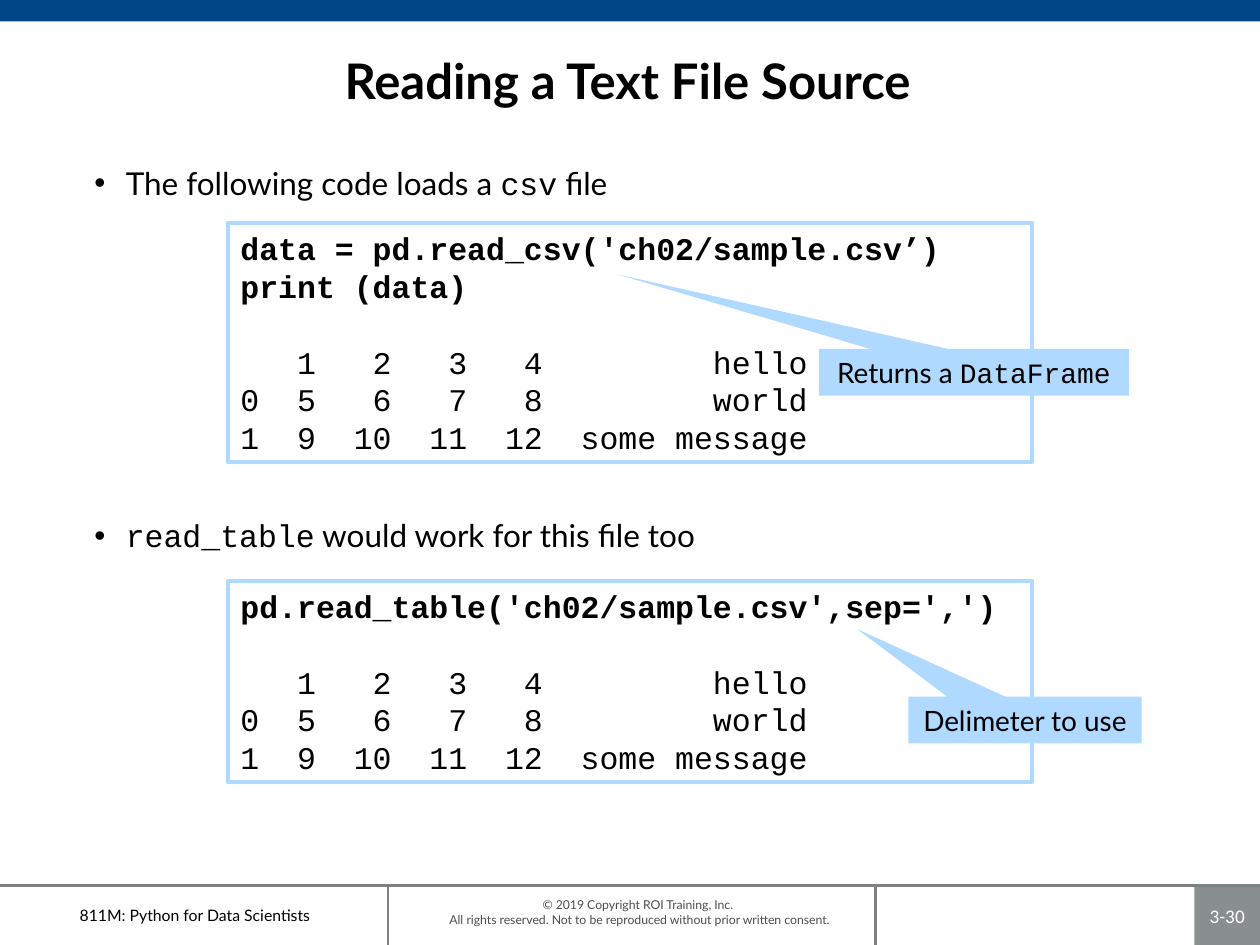
from lxml.etree import SubElement
from pptx import Presentation
from pptx.dml.color import RGBColor
from pptx.enum.shapes import MSO_CONNECTOR as CONN, MSO_SHAPE as SHAPE
from pptx.enum.text import MSO_ANCHOR as ANCHOR, MSO_AUTO_SIZE as FIT, PP_ALIGN as ALIGN
from pptx.oxml.ns import qn
from pptx.util import Inches, Pt

W, H = 10, 7.5
FOOT_Y = 7.03
FOOT_H = H - FOOT_Y
CODE_X, CODE_W = 1.81, 6.38
LINE = 21.6
SANS, MONO = "Lato", "Courier New"
BLACK = RGBColor(0, 0, 0)
WHITE = RGBColor(255, 255, 255)
NAVY = RGBColor(0x00, 0x46, 0x86)
SKY = RGBColor(0xAF, 0xD9, 0xFF)
SLATE = RGBColor(0x89, 0x8F, 0x8F)
RULE = RGBColor(0x80, 0x80, 0x80)
DARK = RGBColor(0x4D, 0x4D, 0x4D)
OUTPUT = [
    "   1   2   3   4         hello",
    "0  5   6   7   8         world",
    "1  9  10  11  12  some message",
]


def box(x, y, w, h):
    return Inches(x), Inches(y), Inches(w), Inches(h)


def style(r, size, color=BLACK, font=SANS, bold=False):
    r.font.name = font
    r.font.size = Pt(size)
    r.font.bold = bold
    r.font.color.rgb = color


def write(p, parts, size):
    for text, font in parts:
        r = p.add_run()
        r.text = text
        style(r, size, font=font)


def add_shape(s, kind, at, fill=None, line=None):
    sp = s.shapes.add_shape(kind, *box(*at))
    sp.shadow.inherit = False
    if fill is None:
        sp.fill.background()
    else:
        sp.fill.solid()
        sp.fill.fore_color.rgb = fill
    if line is None:
        sp.line.fill.background()
    else:
        sp.line.color.rgb = line
        sp.line.width = Pt(2.25)
    return sp


def add_rule(s, x1, y1, x2, y2):
    cx = s.shapes.add_connector(CONN.STRAIGHT, *box(x1, y1, x2, y2))
    cx.line.color.rgb = RULE
    cx.line.width = Pt(1.5)
    SubElement(cx._element.spPr, qn("a:effectLst"))


def center_text(sp, text, size, color=BLACK, font=SANS, bold=False):
    tf = sp.text_frame
    tf.word_wrap = True
    tf.vertical_anchor = ANCHOR.MIDDLE
    p = tf.paragraphs[0]
    p.text = text
    p.alignment = ALIGN.CENTER
    for r in p.runs:
        style(r, size, color, font, bold)
    return tf


def add_title(s, text):
    title = s.shapes.title
    title.left, title.top, title.width, title.height = box(1.15, 0.29, 7.66, 0.69)
    center_text(title, text, 28, bold=True).auto_size = FIT.NONE


def add_bullets(s, items, gap):
    tf = s.shapes.add_textbox(*box(0.65, 1.25, 8.77, 5.54)).text_frame
    tf.word_wrap = True
    for i, parts in enumerate(items):
        p = tf.add_paragraph() if i else tf.paragraphs[0]
        pPr = p._p.get_or_add_pPr()
        pPr.set("marL", str(Inches(0.25)))
        pPr.set("indent", str(-Inches(0.25)))
        SubElement(pPr, qn("a:buFont")).set("typeface", "Arial")
        SubElement(pPr, qn("a:buChar")).set("char", "•")
        if i:
            p.space_before = Pt(gap)
        write(p, parts, 18)


def add_code(s, y, h, code):
    sp = add_shape(s, SHAPE.RECTANGLE, (CODE_X, y, CODE_W, h), line=SKY)
    tf = sp.text_frame
    tf.word_wrap = True
    tf.vertical_anchor = ANCHOR.TOP
    for i, text in enumerate(code + OUTPUT):
        p = tf.add_paragraph() if i else tf.paragraphs[0]
        p.text = text
        p.alignment = ALIGN.LEFT
        p.line_spacing = Pt(LINE)
        if i == len(code):
            p.space_before = Pt(LINE)
        style(p.runs[0], 18, font=MONO, bold=i < len(code))


def add_callout(s, at, tip, parts):
    sp = add_shape(s, SHAPE.RECTANGULAR_CALLOUT, at, fill=SKY)
    sp.adjustments[0], sp.adjustments[1] = tip
    tf = sp.text_frame
    tf.word_wrap = False
    tf.vertical_anchor = ANCHOR.MIDDLE
    p = tf.paragraphs[0]
    p.alignment = ALIGN.CENTER
    write(p, parts, 16)


def add_frame(s):
    add_shape(s, SHAPE.RECTANGLE, (0, 0, W, 0.17), fill=NAVY)
    number = add_shape(s, SHAPE.RECTANGLE, (9.48, FOOT_Y, 0.52, FOOT_H), fill=SLATE)
    tf = center_text(number, "3-30", 11, WHITE, "Calibri")
    tf.margin_left = tf.margin_right = Inches(0.04)
    add_rule(s, 0, FOOT_Y, W, FOOT_Y)
    for x in (3.08, 6.95):
        add_rule(s, x, FOOT_Y, x, H)
    course = s.shapes.add_textbox(*box(0, FOOT_Y, 3.09, FOOT_H))
    center_text(course, "811M: Python for Data Scientists", 9)
    rights = s.shapes.add_textbox(*box(2.45, 7.12, 5.25, 0.24))
    tf = center_text(
        rights,
        "© 2019 Copyright ROI Training, Inc. \v"
        "All rights reserved. Not to be reproduced without prior written consent.",
        7, DARK)
    tf.margin_top = tf.margin_bottom = 0


def main():
    prs = Presentation()
    prs.slide_width, prs.slide_height = Inches(W), Inches(H)
    s = prs.slides.add_slide(prs.slide_layouts[5])
    add_frame(s)
    add_title(s, "Reading a Text File Source")
    add_bullets(s, [
        [("The following code loads a ", SANS), ("csv", MONO), (" file", SANS)],
        [("read_table", MONO), (" would work for this file too", SANS)],
    ], 180)
    add_code(s, 1.77, 1.9, ["data = pd.read_csv('ch02/sample.csv’)", "print (data)"])
    add_callout(s, (6.5, 2.77, 2.46, 0.37), (-1.15, -2.1),
                [("Returns a ", SANS), ("DataFrame", MONO)])
    add_code(s, 4.61, 1.6, ["pd.read_table('ch02/sample.csv',sep=',')"])
    add_callout(s, (7.21, 5.53, 1.85, 0.37), (-0.72, -1.95),
                [("Delimeter to use", SANS)])
    prs.save("out.pptx")


if __name__ == "__main__":
    main()
